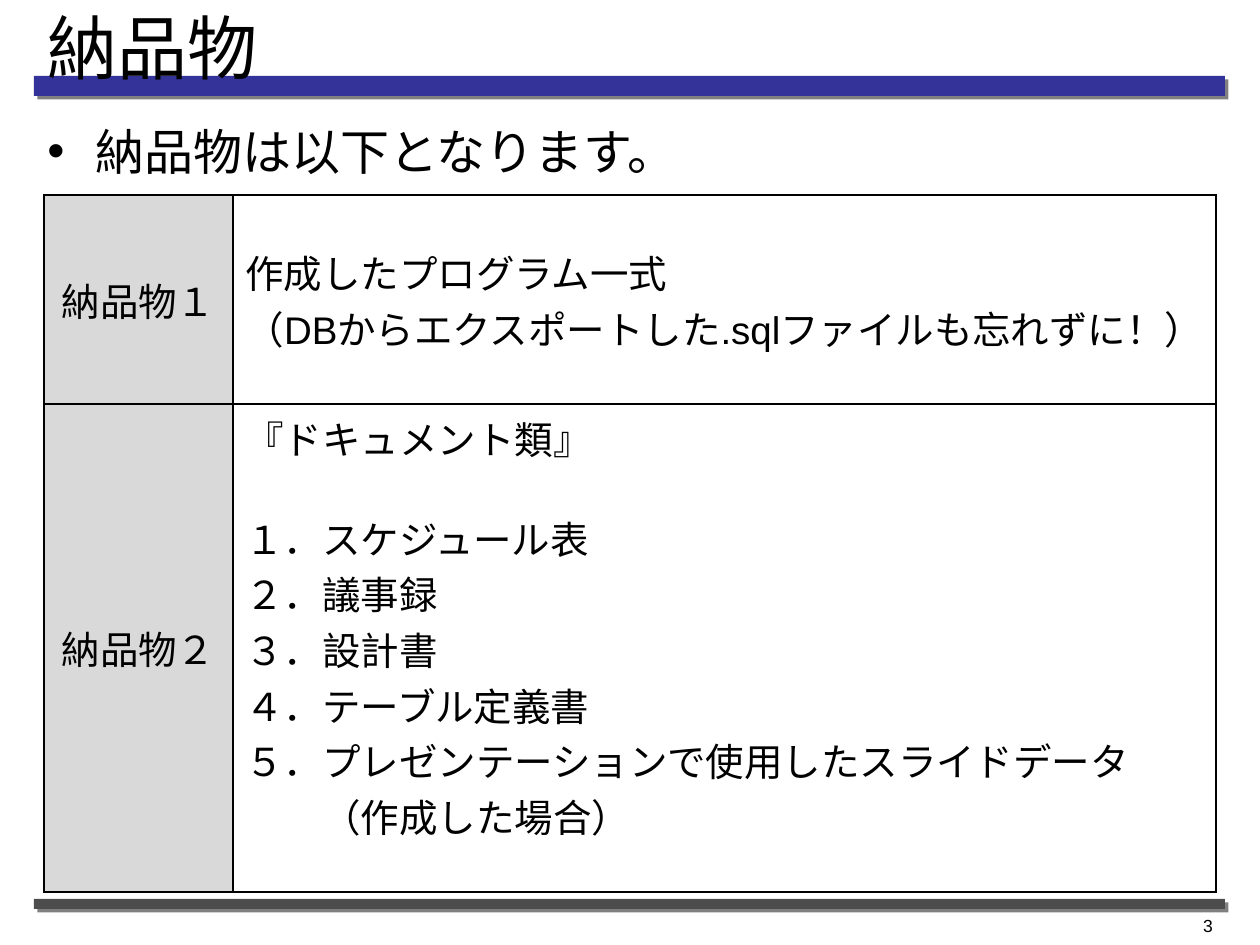
from lxml.etree import SubElement
from pptx import Presentation
from pptx.dml.color import RGBColor
from pptx.enum.shapes import MSO_SHAPE
from pptx.enum.text import MSO_ANCHOR, PP_ALIGN
from pptx.oxml import parse_xml
from pptx.oxml.ns import nsdecls, qn
from pptx.util import Emu, Pt

COLORS = {
    "text": "000000",
    "title_bar": "333399",
    "footer_bar": "4D4D4D",
    "shadow": "808080",
    "label": "D9D9D9",
    "cell": "FFFFFF",
    "border": "000000",
}
FONT = "Arial"
ITEM_SIZE = 22
DELIVERABLES = [
    ("納品物１", MSO_ANCHOR.MIDDLE, 209,
     ["作成したプログラム一式", "（DBからエクスポートした.sqlファイルも忘れずに！）"]),
    ("納品物２", MSO_ANCHOR.TOP, 488,
     ["『ドキュメント類』", "１．スケジュール表", "２．議事録", "３．設計書",
      "４．テーブル定義書", "５．プレゼンテーションで使用したスライドデータ", "（作成した場合）"]),
]


def px(length):
    """Turn pixels into EMU."""
    return Emu(round(length * 914400 / 126))


def color(name):
    """Return a named colour."""
    return RGBColor.from_string(COLORS[name])


def write(frame, lines, size, align=PP_ALIGN.LEFT):
    """Write lines as paragraphs and return them."""
    frame.word_wrap = True
    frame.text = "\n".join(lines)
    for paragraph in frame.paragraphs:
        paragraph.alignment = align
        paragraph.font.size = Pt(size)
        paragraph.font.name = FONT
        paragraph.font.color.rgb = color("text")
    return frame.paragraphs


def add_text(slide, box, line, size, anchor=MSO_ANCHOR.TOP, align=PP_ALIGN.LEFT):
    """Add a one-paragraph text box and return the paragraph."""
    frame = slide.shapes.add_textbox(*map(px, box)).text_frame
    frame.vertical_anchor = anchor
    return write(frame, [line], size, align)[0]


def add_bar(slide, box, fill):
    """Add a ruled bar with a hard drop shadow."""
    bar = slide.shapes.add_shape(MSO_SHAPE.RECTANGLE, *map(px, box))
    bar.fill.solid()
    bar.fill.fore_color.rgb = color(fill)
    bar.line.fill.background()
    bar.shadow.inherit = False
    effects = bar._element.spPr.find(qn("a:effectLst"))
    shadow = SubElement(effects, qn("a:outerShdw"), dist=str(Pt(2.8)),
                        dir="2700000", algn="ctr", rotWithShape="0")
    SubElement(shadow, qn("a:srgbClr"), val=COLORS["shadow"])


def add_header(slide, box):
    """Add the title over its bar."""
    left, top, width, height = box
    add_bar(slide, (left - 1, top + height, width, 20), "title_bar")
    add_text(slide, box, "納品物", 40, MSO_ANCHOR.MIDDLE)


def add_footer(slide, box):
    """Add the bottom bar and the page number."""
    left, top, width, height = box
    add_bar(slide, (left, top, width, 10), "footer_bar")
    add_text(slide, (left + width - 294, top + 10, 294, height - 10), "3", 10,
             align=PP_ALIGN.RIGHT)


def add_lead(slide, box):
    """Add the bulleted lead sentence."""
    paragraph = add_text(slide, box, "納品物は以下となります。", 28)
    paragraph.line_spacing = 1.5
    paragraph.space_before = Pt(5.6)
    properties = paragraph._p.get_or_add_pPr()
    properties.set("marL", str(px(48)))
    properties.set("indent", str(-px(48)))
    SubElement(properties, qn("a:buFont"), typeface=FONT)
    SubElement(properties, qn("a:buChar"), char="•")


def style_cell(cell, fill, anchor):
    """Set a cell's fill, anchor and four borders."""
    cell.vertical_anchor = anchor
    properties = cell._tc.get_or_add_tcPr()
    for index, side in enumerate("LRTB"):
        properties.insert(index, parse_xml(
            f'<a:ln{side} {nsdecls("a")} w="{Pt(1)}"><a:solidFill>'
            f'<a:srgbClr val="{COLORS["border"]}"/></a:solidFill></a:ln{side}>'))
    cell.fill.solid()
    cell.fill.fore_color.rgb = color(fill)


def add_deliverables(slide, box):
    """Add the table of deliverables."""
    table = slide.shapes.add_table(len(DELIVERABLES), 2, *map(px, box)).table
    table.first_row = table.horz_banding = False
    label_width = 189
    table.columns[0].width = px(label_width)
    table.columns[1].width = px(box[2] - label_width)
    for row, (label, anchor, height, lines) in enumerate(DELIVERABLES):
        table.rows[row].height = px(height)
        label_cell, content_cell = table.cell(row, 0), table.cell(row, 1)
        style_cell(label_cell, "label", MSO_ANCHOR.MIDDLE)
        style_cell(content_cell, "cell", anchor)
        write(label_cell.text_frame, [label], ITEM_SIZE, PP_ALIGN.CENTER)
        paragraphs = write(content_cell.text_frame, lines, ITEM_SIZE)
    paragraphs[1].space_before = Pt(25)
    paragraphs[-1]._p.get_or_add_pPr().set("marL", str(Pt(2 * ITEM_SIZE)))


def build():
    """Build and save the slide."""
    presentation = Presentation()
    presentation.slide_width, presentation.slide_height = px(1260), px(945)
    slide = presentation.slides.add_slide(presentation.slide_layouts[6])
    add_header(slide, (35, 16, 1191, 60))
    add_footer(slide, (34, 899, 1191, 46))
    add_lead(slide, (35, 86, 1191, 100))
    add_deliverables(slide, (44, 195, 1172, 697))
    presentation.save("out.pptx")


build()
